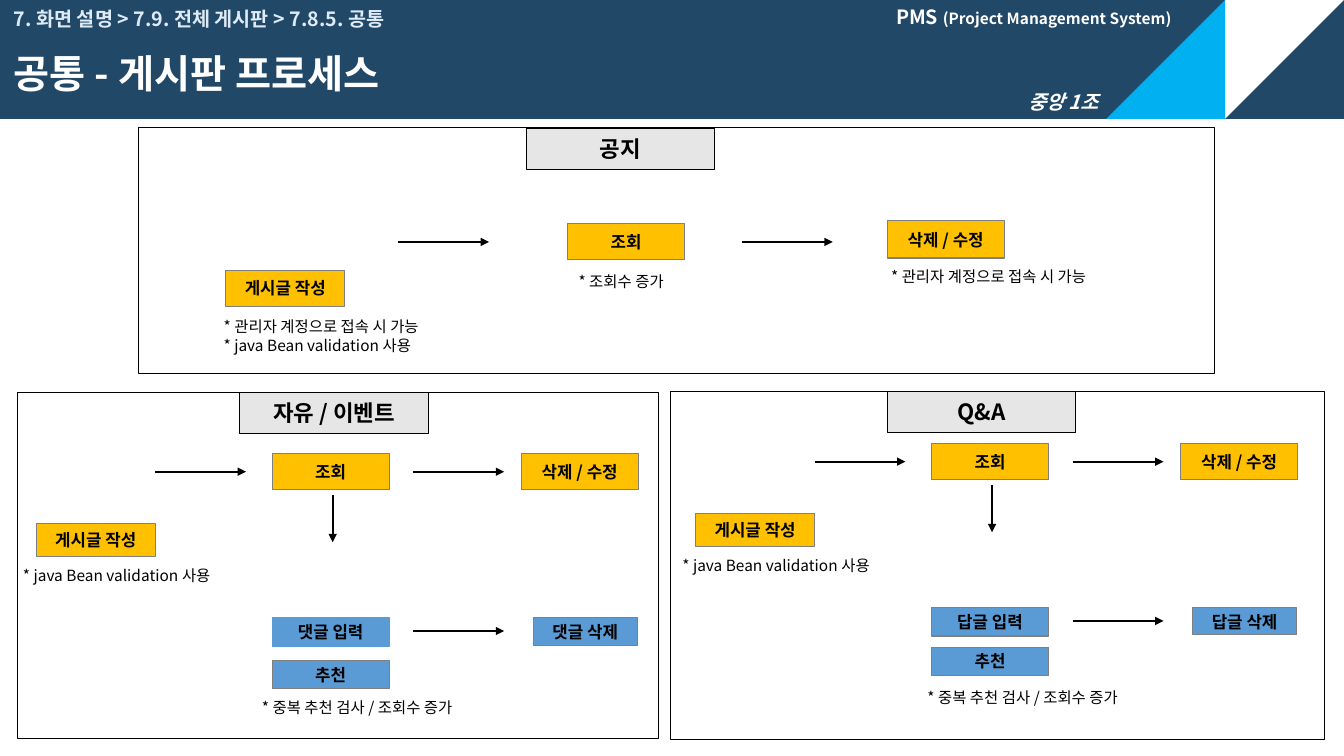
from dataclasses import dataclass

import pptx
import pptx.dml.color
import pptx.enum.shapes
import pptx.enum.text
import pptx.oxml.ns
import pptx.slide
import pptx.util
from lxml import etree

Inches = pptx.util.Inches
Pt = pptx.util.Pt
RGBColor = pptx.dml.color.RGBColor
Shape = pptx.enum.shapes.MSO_SHAPE
Anchor = pptx.enum.text.MSO_ANCHOR
qn = pptx.oxml.ns.qn

FONT = "Noto Sans CJK KR"
NAVY = RGBColor(0x21, 0x48, 0x67)
SKY = RGBColor(0x00, 0xB0, 0xF0)
PALE = RGBColor(0xDE, 0xEB, 0xF7)
WHITE = RGBColor(0xFF, 0xFF, 0xFF)
BLACK = RGBColor(0x00, 0x00, 0x00)
SILVER = RGBColor(0xE7, 0xE6, 0xE6)
GREY = RGBColor(0x80, 0x80, 0x80)
AMBER = RGBColor(0xFF, 0xC0, 0x00)
BLUE = RGBColor(0x5B, 0x9B, 0xD5)


@dataclass
class Area:
    left: float
    top: float
    width: float
    height: float

    def lengths(self) -> tuple:
        return tuple(map(Inches, (self.left, self.top, self.width, self.height)))


@dataclass
class Style:
    size: float
    color: RGBColor = BLACK
    bold: bool = False
    italic: bool = False


@dataclass
class Block:
    area: Area
    fill: RGBColor
    text: str = ""
    line: RGBColor | None = GREY
    size: float = 12
    kind: Shape = Shape.RECTANGLE
    rotation: float = 0


@dataclass
class Note:
    area: Area
    text: str
    style: Style
    anchor: Anchor = Anchor.TOP
    grow: bool = True
    spacing: float | None = None


@dataclass
class Arrow:
    left: float
    top: float
    across: float = 0.9
    down: float = 0


@dataclass
class Board:
    """A board with replies; dx and dy move its process steps."""
    frame: Area
    title: str
    title_left: float
    reply: str
    dx: float
    dy: float
    like_top: float
    like_note_left: float
    reply_line: RGBColor


NOTE = Style(11)
VALIDATION = "* java Bean validation 사용"
ADMIN_ONLY = "* 관리자 계정으로 접속 시 가능"


def style_span(span, style: Style) -> None:
    span.font.size = Pt(style.size)
    span.font.bold = style.bold
    span.font.italic = style.italic
    span.font.color.rgb = style.color
    span.font.name = FONT
    etree.SubElement(span._r.get_or_add_rPr(), qn("a:ea")).set("typeface", FONT)


def draw_block(page: pptx.slide.Slide, block: Block) -> None:
    box = page.shapes.add_shape(block.kind, *block.area.lengths())
    box.shadow.inherit = False
    box.rotation = block.rotation
    box.fill.solid()
    box.fill.fore_color.rgb = block.fill
    if block.line is None:
        box.line.fill.background()
    else:
        box.line.color.rgb = block.line
        box.line.width = Pt(0.75)
    if block.text:
        box.text_frame.text = block.text
        box.text_frame.vertical_anchor = Anchor.MIDDLE
        para = box.text_frame.paragraphs[0]
        para.alignment = pptx.enum.text.PP_ALIGN.CENTER
        style_span(para.runs[0], Style(block.size, bold=True))


def draw_note(page: pptx.slide.Slide, note: Note):
    box = page.shapes.add_textbox(*note.area.lengths())
    frame = box.text_frame
    frame.word_wrap = True
    frame.vertical_anchor = note.anchor
    if note.grow:
        frame.auto_size = pptx.enum.text.MSO_AUTO_SIZE.SHAPE_TO_FIT_TEXT
    frame.text = note.text
    for para in frame.paragraphs:
        para.line_spacing = note.spacing
        for span in para.runs:
            style_span(span, note.style)
    return box


def draw_arrow(page: pptx.slide.Slide, arrow: Arrow) -> None:
    line = page.shapes.add_connector(
        pptx.enum.shapes.MSO_CONNECTOR.STRAIGHT,
        Inches(arrow.left), Inches(arrow.top),
        Inches(arrow.left + arrow.across), Inches(arrow.top + arrow.down))
    line.line.color.rgb = BLACK
    line.line.width = Pt(1.5)
    etree.SubElement(line.line._get_or_add_ln(), qn("a:tailEnd")).set("type", "triangle")
    etree.SubElement(line._element.spPr, qn("a:effectLst"))


def draw_frame(page: pptx.slide.Slide, frame: Area, title: str, title_left: float) -> None:
    draw_block(page, Block(frame, WHITE, line=BLACK))
    draw_block(page, Block(Area(title_left, frame.top, 1.87, 0.41), SILVER, title, BLACK, 16))


def draw_header(page: pptx.slide.Slide) -> None:
    draw_block(page, Block(Area(0, 0, 13.33, 1.18), NAVY, line=None))
    for left, color, turn in ((12.15, WHITE, 90), (10.97, SKY, 270)):
        draw_block(page, Block(Area(left, 0, 1.18, 1.18), color, line=None,
                               kind=Shape.RIGHT_TRIANGLE, rotation=turn))
    draw_note(page, Note(Area(10.1, 0.84, 0.95, 0.34), "중앙 1조",
                         Style(14, WHITE, True, True)))
    system = draw_note(page, Note(Area(8.79, 0, 3.03, 0.34), "PMS ",
                                  Style(14, WHITE, True), Anchor.MIDDLE))
    span = system.text_frame.paragraphs[0].add_run()
    span.text = "(Project Management System)"
    style_span(span, Style(11, WHITE, True))
    for area, text, style in (
            (Area(0.04, 0.01, 8.26, 0.38), "7. 화면 설명 > 7.9. 전체 게시판 > 7.8.5. 공통",
             Style(14, PALE, True)),
            (Area(0.04, 0.39, 8.53, 0.73), "공통 - 게시판 프로세스", Style(28, WHITE, True))):
        draw_note(page, Note(area, text, style, Anchor.MIDDLE, False, 0.9))


def draw_notice(page: pptx.slide.Slide) -> None:
    draw_frame(page, Area(1.37, 1.27, 10.68, 2.44), "공지", 5.22)
    for area, text in ((Area(2.24, 2.68, 1.18, 0.36), "게시글 작성"),
                       (Area(5.63, 2.22, 1.16, 0.36), "조회"),
                       (Area(8.8, 2.19, 1.16, 0.37), "삭제 / 수정")):
        draw_block(page, Block(area, AMBER, text))
    for area, text in ((Area(2.12, 3.1, 3.52, 0.47), f"{ADMIN_ONLY}\n{VALIDATION}"),
                       (Area(5.64, 2.65, 2.46, 0.29), "* 조회수 증가"),
                       (Area(8.74, 2.6, 2.44, 0.29), ADMIN_ONLY)):
        draw_note(page, Note(area, text, NOTE))
    for left in (3.95, 7.36):
        draw_arrow(page, Arrow(left, 2.4))


def draw_board(page: pptx.slide.Slide, board: Board) -> None:
    dx, dy = board.dx, board.dy
    draw_frame(page, board.frame, board.title, board.title_left)
    # Process steps
    for left, top, width, height, fill, text, line in (
            (0.36, 5.19, 1.18, 0.33, AMBER, "게시글 작성", GREY),
            (2.7, 4.5, 1.16, 0.36, AMBER, "조회", GREY),
            (5.17, 4.5, 1.16, 0.36, AMBER, "삭제 / 수정", GREY),
            (2.7, 6.13, 1.16, 0.28, BLUE, f"{board.reply} 입력", board.reply_line),
            (5.29, 6.13, 1.03, 0.27, BLUE, f"{board.reply} 삭제", GREY),
            (2.7, board.like_top - dy, 1.16, 0.28, BLUE, "추천", GREY)):
        draw_block(page, Block(Area(left + dx, top + dy, width, height), fill, text, line))
    # Arrows and notes
    for left, top in ((1.54, 4.68), (4.1, 4.68), (4.1, 6.26)):
        draw_arrow(page, Arrow(left + dx, top + dy))
    draw_arrow(page, Arrow(3.3 + dx, 4.91 + dy, 0, 0.47))
    draw_note(page, Note(Area(0.13 + dx, 5.57 + dy, 2.13, 0.29), VALIDATION, NOTE))
    draw_note(page, Note(Area(board.like_note_left, 6.88 + dy, 3.27, 0.45),
                         "* 중복 추천 검사 / 조회수 증가", NOTE))


def main() -> None:
    deck = pptx.Presentation()
    deck.slide_width, deck.slide_height = Inches(13.33), Inches(7.5)
    page = deck.slides.add_slide(deck.slide_layouts[6])
    draw_header(page)
    draw_notice(page)
    for board in (
            Board(Area(0.17, 3.89, 6.36, 3.44), "자유 / 이벤트", 2.38, "댓글", 0, 0, 6.55, 2.5, BLUE),
            Board(Area(6.65, 3.88, 6.49, 3.46), "Q&A", 8.8, "답글", 6.54, -0.1, 6.42, 9.1, GREY)):
        draw_board(page, board)
    deck.save("out.pptx")


if __name__ == "__main__":
    main()
